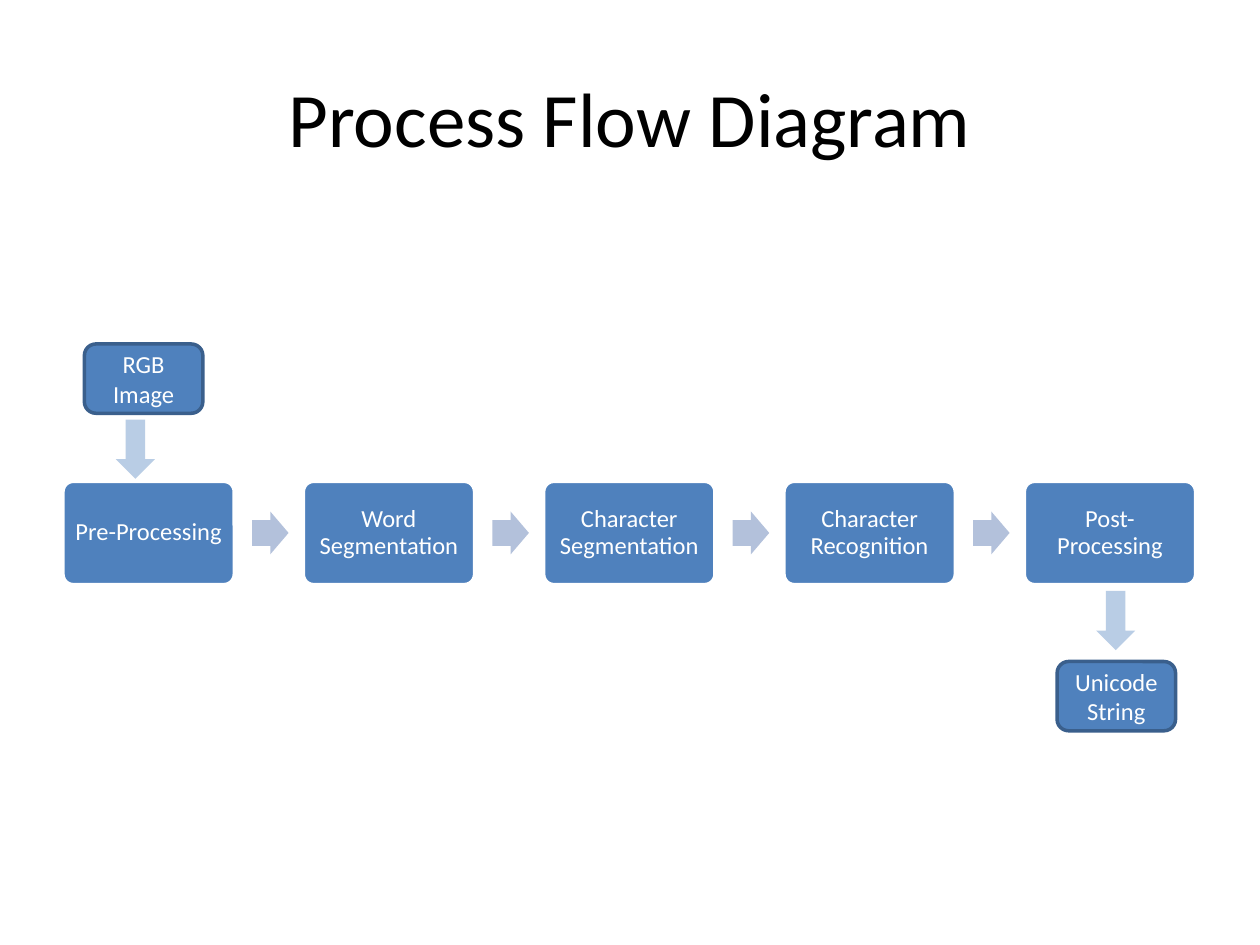
from pptx import Presentation
from pptx.dml.color import RGBColor
from pptx.enum.shapes import MSO_SHAPE
from pptx.enum.text import MSO_ANCHOR, PP_ALIGN
from pptx.util import Inches, Pt

BLACK = RGBColor(0x00, 0x00, 0x00)
WHITE = RGBColor(0xFF, 0xFF, 0xFF)
BLUE = RGBColor(0x4F, 0x81, 0xBD)
NAVY = RGBColor(0x3A, 0x5F, 0x8C)
MIST = RGBColor(0xB3, 0xC1, 0xDB)
SKY = RGBColor(0xB9, 0xCD, 0xE5)

STEPS = ["Pre-Processing", "Word Segmentation", "Character Segmentation",
         "Character Recognition", "Post-Processing"]


def write(shape, text, size, color, pad=None, **para):
    """Put centred text in a shape, with optional padding and spacing."""
    frame = shape.text_frame
    form = {"word_wrap": True, "vertical_anchor": MSO_ANCHOR.MIDDLE}
    if pad is not None:
        sides = ("left", "right", "top", "bottom")
        form.update({f"margin_{side}": Inches(pad) for side in sides})
    line = frame.paragraphs[0]
    run = line.add_run()
    run.text = text
    run.font.color.rgb = color
    formats = [
        (frame, form),
        (line, {"alignment": PP_ALIGN.CENTER, **para}),
        (run.font, {"name": "Calibri", "size": Pt(size)}),
    ]
    for target, values in formats:
        for key, value in values.items():
            setattr(target, key, value)


def draw(slide, kind, box, fill, edge=None, adjust=()):
    """Add a flat preset shape in the given box."""
    shape = slide.shapes.add_shape(kind, *map(Inches, box))
    shape.shadow.inherit = False
    shape.fill.solid()
    shape.fill.fore_color.rgb = fill
    if edge is None:
        shape.line.fill.background()
    else:
        shape.line.color.rgb = edge
        shape.line.width = Pt(2)
    for index, value in enumerate(adjust):
        shape.adjustments[index] = value
    return shape


def add_title(slide, box, text):
    """Add the slide title."""
    write(slide.shapes.add_textbox(*map(Inches, box)), text, 44, BLACK)


def add_flow(slide, box, steps):
    """Spread the steps evenly over the box, with an arrow in each gap."""
    left, top, width, height = box
    wide = 1.36
    pitch = (width - wide) / (len(steps) - 1)
    for index, text in enumerate(steps):
        x = left + index * pitch
        step = draw(slide, MSO_SHAPE.ROUNDED_RECTANGLE,
                    (x, top, wide, height), BLUE, WHITE, [0.1])
        write(step, text, 14, WHITE, pad=0.06,
              line_spacing=0.9, space_after=Pt(4.9))
        if index < len(steps) - 1:
            draw(slide, MSO_SHAPE.RIGHT_ARROW,
                 (x + 1.5, top + 0.24, 0.29, 0.34), MIST, adjust=[0.6, 0.5])


def add_end(slide, box, text, arrow):
    """Add an input or output box and its down arrow at an offset."""
    left, top = box[:2]
    node = draw(slide, MSO_SHAPE.ROUNDED_RECTANGLE, box, BLUE, NAVY)
    write(node, text, 14, WHITE)
    draw(slide, MSO_SHAPE.DOWN_ARROW,
         (left + arrow[0], top + arrow[1], 0.31, 0.47), SKY)


def main():
    """Build the slide and save it."""
    deck = Presentation()
    deck.slide_width, deck.slide_height = Inches(10), Inches(7.5)
    slide = deck.slides.add_slide(deck.slide_layouts[6])
    add_title(slide, (0.5, 0.3, 9, 1.25), "Process Flow Diagram")
    add_flow(slide, (0.5, 3.82, 8.99, 0.82), STEPS)
    add_end(slide, (0.67, 2.73, 0.94, 0.55), "RGB Image", (0.25, 0.6))
    add_end(slide, (8.39, 5.25, 0.94, 0.55), "Unicode String", (0.31, -0.56))
    deck.save("out.pptx")


main()
